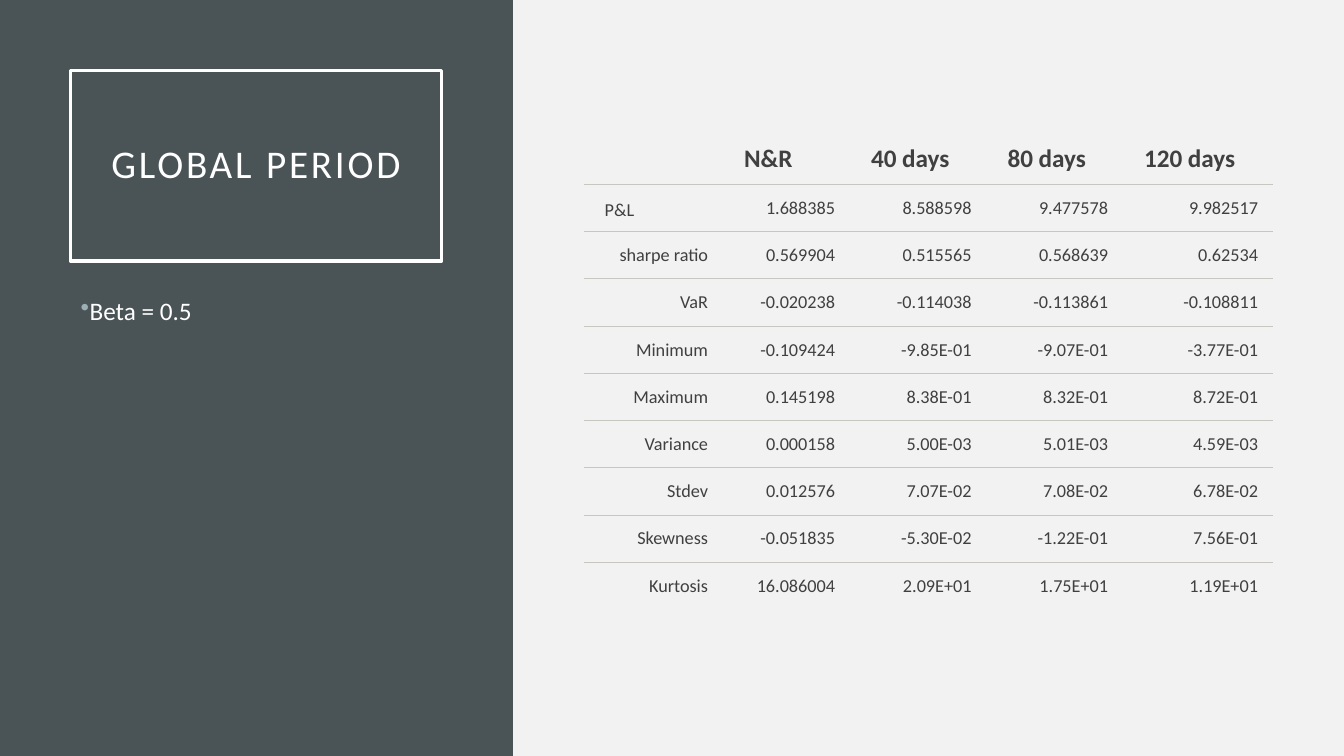
"""Build the Global Period slide with its risk and return table."""
import pptx
import pptx.dml.color
import pptx.enum.shapes
import pptx.enum.text
import pptx.oxml
import pptx.oxml.ns
import pptx.util
from dataclasses import dataclass
from lxml import etree

Cm = pptx.util.Cm
Pt = pptx.util.Pt
ALIGN = pptx.enum.text.PP_ALIGN
ANCHOR = pptx.enum.text.MSO_ANCHOR


@dataclass(frozen=True)
class Theme:
    font: str = "Calibri"
    paper: str = "F2F2F2"
    panel: str = "4A5356"
    light: str = "FFFFFF"
    bullet: str = "9BAFB5"
    ink: str = "404040"
    rule: str = "C7C6C1"
    title_size: float = 28
    body_size: float = 18
    value_size: float = 13


theme = Theme()


def rgb(value):
    return pptx.dml.color.RGBColor.from_string(value)


def write(frame, text, size, color, align=ALIGN.LEFT, bold=False):
    paragraph = frame.paragraphs[0]
    paragraph.text = text
    paragraph.alignment = align
    for run in paragraph.runs:
        run.font.name = theme.font
        run.font.size = Pt(size)
        run.font.bold = bold
        run.font.color.rgb = rgb(color)
    return paragraph


deck = pptx.Presentation()
deck.slide_width, deck.slide_height = Cm(33.87), Cm(19.05)
slide = deck.slides.add_slide(deck.slide_layouts[6])
slide.background.fill.solid()
slide.background.fill.fore_color.rgb = rgb(theme.paper)

RECTANGLE = pptx.enum.shapes.MSO_SHAPE.RECTANGLE
side_panel = slide.shapes.add_shape(RECTANGLE, 0, 0, Cm(12.93), deck.slide_height)
side_panel.shadow.inherit = False
side_panel.fill.solid()
side_panel.fill.fore_color.rgb = rgb(theme.panel)
side_panel.line.fill.background()

heading = slide.shapes.add_shape(RECTANGLE, Cm(1.78), Cm(1.78), Cm(9.35), Cm(4.8))
heading.shadow.inherit = False
heading.fill.background()
heading.line.color.rgb = rgb(theme.light)
heading.line.width = Pt(2.5)
heading_frame = heading.text_frame
heading_frame.word_wrap = True
heading_frame.vertical_anchor = ANCHOR.MIDDLE
heading_frame.margin_left = heading_frame.margin_right = Cm(0.5)
heading_frame.margin_top = heading_frame.margin_bottom = Cm(0.5)
heading_line = write(heading_frame, "GLOBAL PERIOD", theme.title_size, theme.light, ALIGN.CENTER)
heading_line.line_spacing = 0.9
heading_line.runs[0].font._element.set("spc", "200")

beta_note = slide.shapes.add_textbox(Cm(1.78), Cm(7.32), Cm(9.35), Cm(9.5))
beta_note.text_frame.word_wrap = True
beta_line = write(beta_note.text_frame, "Beta = 0.5", theme.body_size, theme.light)
beta_line.space_before = Pt(10)
bullet_format = beta_line._p.get_or_add_pPr()
bullet_format.set("marL", str(Cm(0.23)))
bullet_format.set("indent", str(-Cm(0.23)))
bullet_color = etree.SubElement(bullet_format, pptx.oxml.ns.qn("a:buClr"))
etree.SubElement(bullet_color, pptx.oxml.ns.qn("a:srgbClr"), val=theme.bullet)
etree.SubElement(bullet_format, pptx.oxml.ns.qn("a:buChar"), char="•")

statistics = [
    ("", "N&R", "40 days", "80 days", "120 days"),
    ("P&L", "1.688385", "8.588598", "9.477578", "9.982517"),
    ("sharpe ratio", "0.569904", "0.515565", "0.568639", "0.62534"),
    ("VaR", "-0.020238", "-0.114038", "-0.113861", "-0.108811"),
    ("Minimum", "-0.109424", "-9.85E-01", "-9.07E-01", "-3.77E-01"),
    ("Maximum", "0.145198", "8.38E-01", "8.32E-01", "8.72E-01"),
    ("Variance", "0.000158", "5.00E-03", "5.01E-03", "4.59E-03"),
    ("Stdev", "0.012576", "7.07E-02", "7.08E-02", "6.78E-02"),
    ("Skewness", "-0.051835", "-5.30E-02", "-1.22E-01", "7.56E-01"),
    ("Kurtosis", "16.086004", "2.09E+01", "1.75E+01", "1.19E+01"),
]
column_widths = [3.51, 3.2, 3.44, 3.44, 3.78]
last_row = len(statistics) - 1

table = slide.shapes.add_table(
    len(statistics), len(column_widths), Cm(14.71), Cm(3.25), Cm(sum(column_widths)), Cm(12.12)
).table
for column, width in zip(table.columns, column_widths):
    column.width = Cm(width)

for r, entries in enumerate(statistics):
    is_header = r == 0
    table.rows[r].height = Cm(1.4 if is_header else 1.19)
    for c, entry in enumerate(entries):
        cell = table.cell(r, c)
        starts_left = is_header or entry == "P&L"
        cell.fill.background()
        cell.margin_left, cell.margin_right = Cm(0.53), Cm(0.38)
        cell.margin_top = cell.margin_bottom = Cm(0.25)
        cell.vertical_anchor = ANCHOR.BOTTOM if starts_left else ANCHOR.MIDDLE
        write(
            cell.text_frame, entry,
            theme.body_size if is_header else theme.value_size, theme.ink,
            ALIGN.LEFT if starts_left else ALIGN.RIGHT, is_header,
        )
        edges = {"lnL": False, "lnR": False, "lnT": r > 0, "lnB": r < last_row}
        for position, (edge, visible) in enumerate(edges.items()):
            border = etree.Element(pptx.oxml.ns.qn(f"a:{edge}"), w=str(Pt(0.75)))
            if visible:
                stroke = etree.SubElement(border, pptx.oxml.ns.qn("a:solidFill"))
                etree.SubElement(stroke, pptx.oxml.ns.qn("a:srgbClr"), val=theme.rule)
            else:
                etree.SubElement(border, pptx.oxml.ns.qn("a:noFill"))
            cell._tc.get_or_add_tcPr().insert(position, border)

deck.save("out.pptx")
